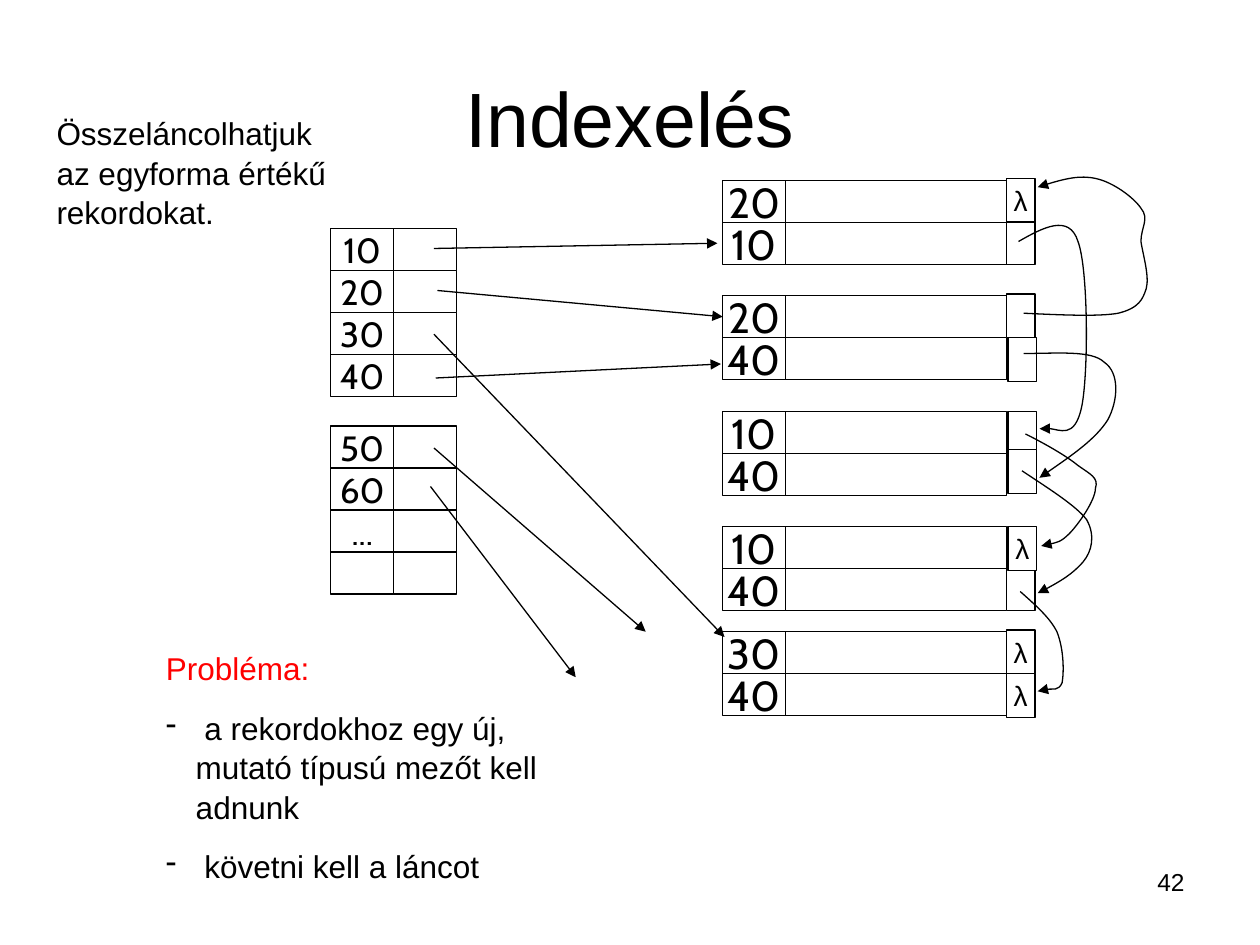
from dataclasses import dataclass

from lxml import etree
from pptx import Presentation
from pptx.dml.color import RGBColor
from pptx.enum.shapes import MSO_CONNECTOR, MSO_SHAPE
from pptx.enum.text import MSO_ANCHOR, MSO_AUTO_SIZE, PP_ALIGN
from pptx.oxml.ns import qn
from pptx.util import Pt

STRAIGHT = MSO_CONNECTOR.STRAIGHT
RECTANGLE = MSO_SHAPE.RECTANGLE
MIDDLE = MSO_ANCHOR.MIDDLE
FIT_SHAPE = MSO_AUTO_SIZE.SHAPE_TO_FIT_TEXT
CENTER, LEFT, RIGHT = PP_ALIGN.CENTER, PP_ALIGN.LEFT, PP_ALIGN.RIGHT
LEFT_SIDE = 1


@dataclass(frozen=True)
class Theme:
    ink: RGBColor = RGBColor(0, 0, 0)
    paper: RGBColor = RGBColor(255, 255, 255)
    alert: RGBColor = RGBColor(255, 0, 0)
    font: str = "Arial"
    key_font: str = "Cabin"
    title_size: int = 44
    record_size: int = 24
    index_size: int = 20
    body_size: int = 18
    lambda_size: int = 16
    number_size: int = 14
    line_width: float = 0.75


def set_all(target, values):
    for name, value in values.items():
        setattr(target, name, value)


class SlideBuilder:
    def __init__(self, slide, theme):
        self.slide = slide
        self.theme = theme

    def add_text(self, paragraph, text, size, font=None, color=None, **layout):
        run = paragraph.add_run()
        run.text = text
        set_all(run.font, {"name": font or self.theme.font, "size": Pt(size)})
        run.font.color.rgb = color or self.theme.ink
        set_all(paragraph, layout)

    def outline(self, line, arrow=False):
        line.color.rgb = self.theme.ink
        line.width = Pt(self.theme.line_width)
        if arrow:
            ln = line._get_or_add_ln()
            etree.SubElement(ln, qn("a:tailEnd"), type="triangle")

    def title(self, text, left, top, width, height):
        title = self.slide.shapes.title
        set_all(title, {"left": Pt(left), "top": Pt(top),
                        "width": Pt(width), "height": Pt(height)})
        title.text_frame.vertical_anchor = MIDDLE
        self.add_text(title.text_frame.paragraphs[0], text,
                      self.theme.title_size, alignment=CENTER)

    def cell(self, parent, left, top, width, height, text="", size=0, font=None):
        cell = parent.shapes.add_shape(
            RECTANGLE, Pt(left), Pt(top), Pt(width), Pt(height))
        cell.shadow.inherit = False
        cell.fill.solid()
        cell.fill.fore_color.rgb = self.theme.paper
        self.outline(cell.line)
        if text:
            set_all(cell.text_frame, {"word_wrap": False, "vertical_anchor": MIDDLE})
            self.add_text(cell.text_frame.paragraphs[0], text, size, font,
                          alignment=CENTER)
        return cell

    def block(self, left, top, keys, key_size, value_width):
        """Stack rows of a key and an empty value; return the key cells."""
        group = self.slide.shapes.add_group_shape()
        key_cells = []
        for row, key in enumerate(keys):
            y = top + row * ROW_HEIGHT
            key_cells.append(self.cell(group, left, y, KEY_WIDTH, ROW_HEIGHT,
                                       key, key_size, self.theme.key_font))
            self.cell(group, left + KEY_WIDTH, y, value_width, ROW_HEIGHT)
        return key_cells

    def arrow(self, start, end, target=None):
        arrow = self.slide.shapes.add_connector(
            STRAIGHT, *(Pt(value) for value in (*start, *end)))
        if target is not None:
            arrow.end_connect(target, LEFT_SIDE)
        self.outline(arrow.line, arrow=True)
        etree.SubElement(arrow._element.spPr, qn("a:effectLst"))

    def curve(self, start, *controls):
        """Draw an arrow of cubic Bézier pieces, three points to a piece."""
        builder = self.slide.shapes.build_freeform(*start, scale=Pt(1))
        builder.add_line_segments(controls, close=False)
        curve = builder.convert_to_shape()
        segments = curve._element.xpath(".//a:lnTo")
        for first in range(0, len(segments), 3):
            piece = etree.Element(qn("a:cubicBezTo"))
            segments[first].addprevious(piece)
            for segment in segments[first:first + 3]:
                piece.append(segment[0])
                segment.getparent().remove(segment)
        curve.shadow.inherit = False
        curve.fill.background()
        self.outline(curve.line, arrow=True)

    def text_box(self, left, top, width, height):
        box = self.slide.shapes.add_textbox(Pt(left), Pt(top), Pt(width), Pt(height))
        box.text_frame.word_wrap = True
        return box.text_frame

    def body(self, left, top, width, height, items):
        """Fill a text box with (text, colour, bulleted) paragraphs."""
        frame = self.text_box(left, top, width, height)
        frame.auto_size = FIT_SHAPE
        for index, (text, color, bulleted) in enumerate(items):
            paragraph = frame.add_paragraph() if index else frame.paragraphs[0]
            self.add_text(paragraph, text, self.theme.body_size, color=color,
                          alignment=LEFT, space_before=Pt(11.2), line_spacing=1.05)
            if bulleted:
                properties = paragraph._p.get_or_add_pPr()
                properties.set("marL", str(Pt(17)))
                properties.set("indent", str(-Pt(17)))
                etree.SubElement(properties, qn("a:buChar"), char="-")

    def slide_number(self, text, left, top, width, height):
        frame = self.text_box(left, top, width, height)
        self.add_text(frame.paragraphs[0], text, self.theme.number_size,
                      alignment=RIGHT)


KEY_WIDTH, ROW_HEIGHT = 36, 24
INDEX_LEFT, RECORD_LEFT, RECORD_VALUE_WIDTH = 189, 413, 126
LINK_WIDTH, LINK_HEIGHT = 16.5, 25

INDEX_BLOCKS = [(130.5, ["10", "20", "30", "40"]), (243.5, ["50", "60", "...", ""])]

# top, keys, link cells as (left, top, text)
RECORD_BLOCKS = [
    (103, ["20", "10"], [(575, 126, ""), (575, 102, "λ")]),
    (169, ["20", "40"], [(575, 168, ""), (576, 193, "")]),
    (235, ["10", "40"], [(576, 235, ""), (576, 257, "")]),
    (301, ["10", "40"], [(575, 324, ""), (576, 301, "λ")]),
    (361, ["30", "40"], [(575, 360, "λ"), (575, 385, "λ")]),
]

INDEX_ARROWS = [
    ((248, 142), (410, 139)),
    ((248, 191), (414, 364)),
    ((249, 216), (412, 208)),
    ((248, 256), (369, 361)),
    ((246, 278), (329, 387)),
]

CHAINS = [
    [(582, 138), (596, 130), (611, 122), (616, 138), (622, 154), (622, 215),
     (618, 233), (614, 251), (598, 243), (594, 245)],
    [(585, 179), (606, 180), (628, 181), (639, 179), (651, 176), (653, 171),
     (655, 165), (657, 158), (653, 145), (652, 138), (652, 130), (657, 125),
     (652, 119), (648, 113), (636, 104), (626, 102), (617, 100), (605, 103),
     (593, 107)],
    [(585, 202), (604, 202), (624, 200), (631, 207), (640, 213), (639, 229),
     (633, 240), (626, 251), (610, 262), (594, 273)],
    [(584, 269), (599, 279), (615, 289), (621, 297), (626, 306), (624, 315),
     (619, 321), (613, 328), (603, 334), (593, 339)],
    [(583, 338), (592, 346), (600, 353), (604, 361), (608, 371), (608, 384),
     (607, 390), (605, 395), (595, 393), (593, 395)],
    [(586, 248), (598, 254), (610, 261), (616, 266), (623, 271), (628, 273),
     (626, 279), (626, 286), (616, 300), (611, 305), (606, 310), (600, 311),
     (595, 312)],
]


def main():
    deck = Presentation()
    set_all(deck, {"slide_width": Pt(720), "slide_height": Pt(540)})
    theme = Theme()
    page = SlideBuilder(deck.slides.add_slide(deck.slide_layouts[5]), theme)

    page.title("Indexelés", 36, 21.6, 648, 90)
    records = [page.block(RECORD_LEFT, top, keys, theme.record_size, RECORD_VALUE_WIDTH)
               for top, keys, _ in RECORD_BLOCKS]
    for top, keys in INDEX_BLOCKS:
        page.block(INDEX_LEFT, top, keys, theme.index_size, KEY_WIDTH)
    for start, end in INDEX_ARROWS:
        page.arrow(start, end)
    page.arrow((250, 166), (413, 181), target=records[1][0])
    for _, _, links in RECORD_BLOCKS:
        for left, top, text in links:
            page.cell(page.slide, left, top, LINK_WIDTH, LINK_HEIGHT,
                      text, theme.lambda_size)
    for chain in CHAINS:
        page.curve(*chain)

    page.body(25.2, 60.5, 170, 72, [
        ("Összeláncolhatjuk az egyforma értékű rekordokat.", theme.ink, False)])
    page.body(87.8, 366.5, 232.6, 138, [
        ("Probléma:", theme.alert, False),
        (" a rekordokhoz egy új, mutató típusú mezőt kell adnunk", theme.ink, True),
        (" követni kell a láncot", theme.ink, True)])
    page.slide_number("42", 516, 492, 168, 37.5)
    deck.save("out.pptx")


if __name__ == "__main__":
    main()
